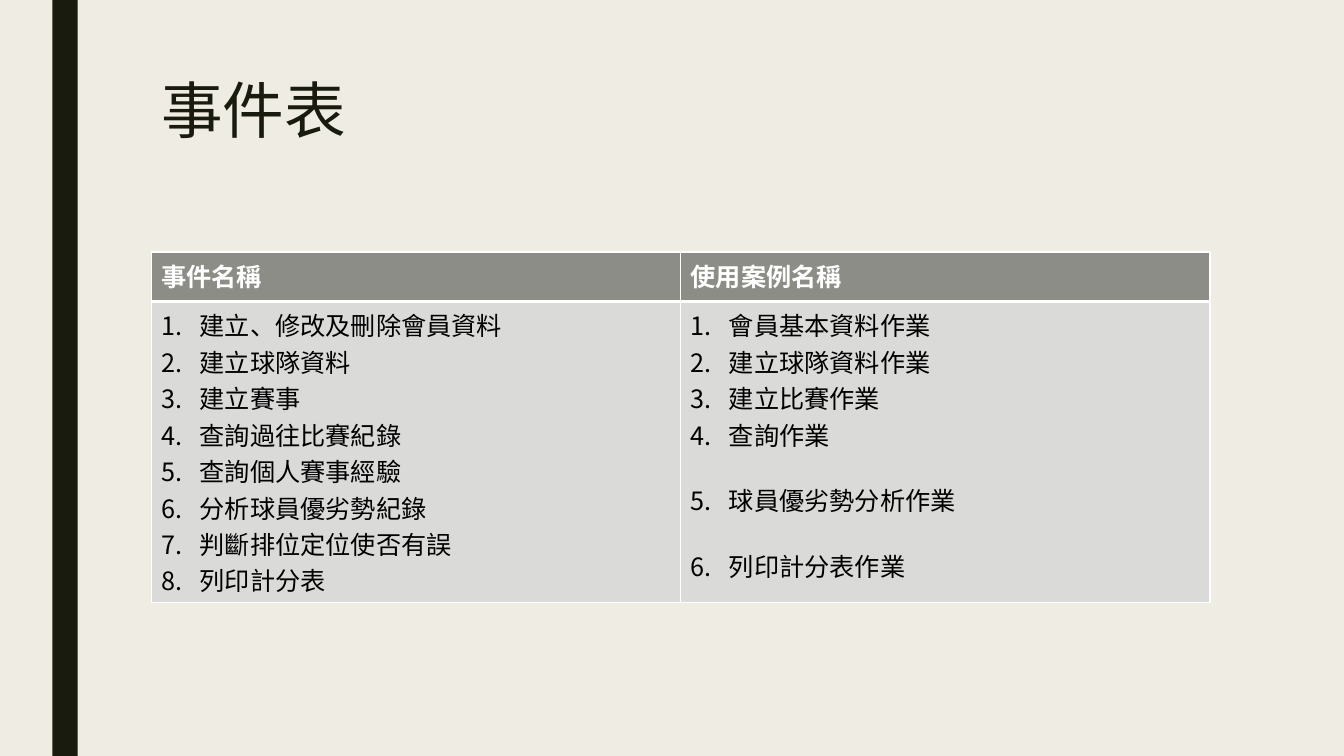
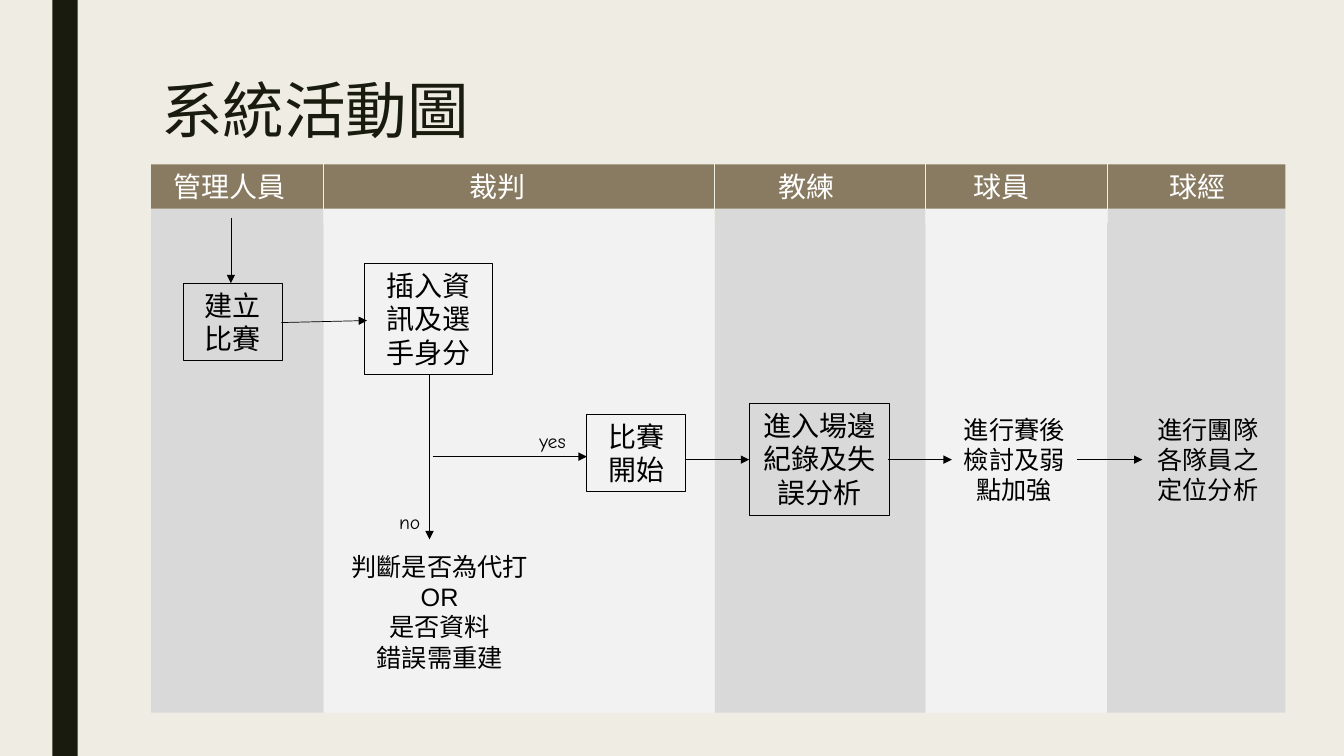
from itertools import cycle, pairwise

from lxml.etree import SubElement
from pptx import Presentation
from pptx.dml.color import RGBColor
from pptx.enum.shapes import MSO_CONNECTOR as Connector, MSO_SHAPE as Shape
from pptx.enum.text import MSO_ANCHOR as Anchor, PP_ALIGN as Align
from pptx.oxml.ns import qn
from pptx.util import Pt

EMU_PER_PX = 9144
SLIDE_WIDTH, SLIDE_HEIGHT = 1333, 750
FONT, BRANCH_FONT, DECISION_FONT = "Roboto", "Comic Neue", "Arial"

PAPER = RGBColor(0xEF, 0xED, 0xE3)
INK = RGBColor(0x19, 0x1B, 0x0E)
BLACK = RGBColor(0x00, 0x00, 0x00)
WHITE = RGBColor(0xFF, 0xFF, 0xFF)
TABLE_HEAD = RGBColor(0x8C, 0x8D, 0x86)
TABLE_BODY = RGBColor(0xDA, 0xDB, 0xD9)
LANE_HEAD = RGBColor(0x89, 0x7B, 0x61)
LANE_DARK = RGBColor(0xD9, 0xD9, 0xD9)
LANE_LIGHT = RGBColor(0xF2, 0xF2, 0xF2)
LANE_DIVIDER = RGBColor(0xED, 0xEF, 0xE0)

TABLE_HEAD_HEIGHT, TABLE_BODY_HEIGHT = 49, 299
EVENTS = """建立、修改及刪除會員資料
建立球隊資料
建立賽事
查詢過往比賽紀錄
查詢個人賽事經驗
分析球員優劣勢紀錄
判斷排位定位使否有誤
列印計分表"""
USE_CASES = """會員基本資料作業
建立球隊資料作業
建立比賽作業
查詢作業
球員優劣勢分析作業
列印計分表作業"""
SEPARATED_USE_CASES = (4, 5)

LANE_EDGES = (150, 321, 709, 918, 1098, 1275)
LANE_LABELS = (("管理人員", 162), ("裁判", 456), ("教練", 762),
               ("球員", 956), ("球經", 1150))
LANE_HEAD_TOP, LANE_TOP, LANE_BOTTOM = 163, 207, 707
DIVIDER_BOTTOM = 221

BOXED_STEPS = (
    ("建立比賽", (182, 281, 98, 77)),
    ("插入資訊及選手身分", (362, 261, 127, 111)),
    ("比賽\n開始", (582, 411, 98, 77)),
    ("進入場邊紀錄及失誤分析", (743, 400, 139, 111)),
)
OPEN_STEPS = (
    ("判斷是否為代打\nOR\n是否資料\n錯誤需重建", (335, 542, 202, 131), DECISION_FONT),
    ("進行賽後檢討及弱點加強", (944, 406, 124, 101), FONT),
    ("進行團隊各隊員之定位分析", (1133, 406, 130, 101), FONT),
)
BRANCHES = (("yes", (525, 421, 51, 34)), ("no", (386, 501, 41, 34)))
ARROWS = (
    ((229, 216), (229, 281)),
    ((279, 320), (364, 318)),
    ((429, 453), (582, 453)),
    ((426, 372), (426, 535)),
    ((680, 456), (743, 456)),
    ((881, 456), (944, 456)),
    ((1068, 456), (1133, 456)),
)


def px(*lengths):
    """Turn pixel lengths into EMU."""
    return [length * EMU_PER_PX for length in lengths]


def number(paragraph):
    """Give a paragraph an automatic number and a hanging indent."""
    properties = paragraph._p.get_or_add_pPr()
    indent = px(38)[0]
    properties.set("marL", str(indent))
    properties.set("indent", str(-indent))
    SubElement(properties, qn("a:buFont"), typeface=FONT)
    SubElement(properties, qn("a:buAutoNum"), type="arabicPeriod")


def write(frame, text, size=18, font=FONT, color=BLACK, bold=False, align=Align.LEFT,
          line_spacing=None, wrap=True, numbered=False, separated=()):
    """Fill a text frame, one paragraph for each line of text."""
    frame.word_wrap = wrap
    frame.vertical_anchor = Anchor.TOP
    for index, line in enumerate(text.split("\n")):
        paragraph = frame.add_paragraph() if index else frame.paragraphs[0]
        paragraph.alignment = align
        paragraph.line_spacing = line_spacing
        if index in separated:
            paragraph.space_before = Pt(21)
        if numbered:
            number(paragraph)
        run = paragraph.add_run()
        run.text = line
        run.font.name, run.font.size, run.font.bold = font, Pt(size), bold
        run.font.color.rgb = color


def add_text(slide, text, area, **style):
    """Place formatted text on a slide."""
    write(slide.shapes.add_textbox(*px(*area)).text_frame, text, **style)


def add_panel(slide, area, fill=None, outline=None):
    """Add a rectangle with an optional fill and outline."""
    panel = slide.shapes.add_shape(Shape.RECTANGLE, *px(*area))
    panel.shadow.inherit = False
    if fill is None:
        panel.fill.background()
    else:
        panel.fill.solid()
        panel.fill.fore_color.rgb = fill
    if outline is None:
        panel.line.fill.background()
    else:
        panel.line.color.rgb = outline
        panel.line.width = Pt(0.75)
    return panel


def add_line(slide, start, end, color=BLACK, arrow=False):
    """Draw a thin straight line, with an arrowhead on request."""
    link = slide.shapes.add_connector(Connector.STRAIGHT, *px(*start, *end))
    link.line.color.rgb = color
    link.line.width = Pt(0.5)
    if arrow:
        SubElement(link.line._get_or_add_ln(), qn("a:tailEnd"), type="triangle")
    SubElement(link._element.spPr, qn("a:effectLst"))


def add_titled_slide(prs, title):
    """Start a blank slide with the side band."""
    slide = prs.slides.add_slide(prs.slide_layouts[6])
    add_panel(slide, (52, 0, 25, SLIDE_HEIGHT), fill=INK)
    add_text(slide, title, (150, 75, 1050, 162), size=44, color=INK, line_spacing=0.89)
    return slide


def add_rule(cell, side):
    """Draw a thick white border on one side of a table cell."""
    properties = cell._tc.get_or_add_tcPr()
    rule = SubElement(properties, qn(side), w=str(Pt(3)))
    SubElement(SubElement(rule, qn("a:solidFill")), qn("a:srgbClr"), val=str(WHITE))
    properties.insert(0, rule)


def fill_cell(cell, text, fill, rule_side, **style):
    """Colour a table cell, rule one side and write its text."""
    cell.fill.solid()
    cell.fill.fore_color.rgb = fill
    add_rule(cell, rule_side)
    write(cell.text_frame, text, **style)


def add_event_table(slide):
    """Set the events beside their use cases."""
    heights = (TABLE_HEAD_HEIGHT, TABLE_BODY_HEIGHT)
    table = slide.shapes.add_table(2, 2, *px(150, 250, 1050, sum(heights))).table
    for row, height in zip(table.rows, px(*heights)):
        row.height = height
    columns = (("事件名稱", EVENTS, ()),
               ("使用案例名稱", USE_CASES, SEPARATED_USE_CASES))
    for column, (heading, items, separated) in enumerate(columns):
        fill_cell(table.cell(0, column), heading, TABLE_HEAD, "a:lnB",
                  color=WHITE, bold=True)
        fill_cell(table.cell(1, column), items, TABLE_BODY, "a:lnT",
                  numbered=True, separated=separated)


def add_lanes(slide):
    """Draw the role lanes with their shared heading band."""
    for (left, right), fill in zip(pairwise(LANE_EDGES), cycle((LANE_DARK, LANE_LIGHT))):
        add_panel(slide, (left, LANE_TOP, right - left, LANE_BOTTOM - LANE_TOP), fill)
    left, right = LANE_EDGES[0], LANE_EDGES[-1]
    head_height = LANE_TOP - LANE_HEAD_TOP
    add_panel(slide, (left, LANE_HEAD_TOP, right - left, head_height), LANE_HEAD)
    for role, label_left in LANE_LABELS:
        add_text(slide, role, (label_left, LANE_HEAD_TOP, 140, head_height),
                 size=20, color=WHITE)
    for edge in LANE_EDGES[1:-1]:
        add_line(slide, (edge, LANE_HEAD_TOP), (edge, DIVIDER_BOTTOM), LANE_DIVIDER)


def add_flow(slide):
    """Place the steps, branch labels and arrows of the activity."""
    for step, area in BOXED_STEPS:
        box = add_panel(slide, area, outline=BLACK)
        write(box.text_frame, step, size=20, align=Align.CENTER)
    for step, area, font in OPEN_STEPS:
        add_text(slide, step, area, font=font, align=Align.CENTER)
    for answer, area in BRANCHES:
        add_text(slide, answer, area, size=14, font=BRANCH_FONT, wrap=False)
    for start, end in ARROWS:
        add_line(slide, start, end, arrow=True)


def main():
    """Build and save the presentation."""
    prs = Presentation()
    prs.slide_width, prs.slide_height = px(SLIDE_WIDTH, SLIDE_HEIGHT)
    backdrop = prs.slide_master.background.fill
    backdrop.solid()
    backdrop.fore_color.rgb = PAPER
    add_event_table(add_titled_slide(prs, "事件表"))
    activity = add_titled_slide(prs, "系統活動圖")
    add_lanes(activity)
    add_flow(activity)
    prs.save("out.pptx")


if __name__ == "__main__":
    main()
